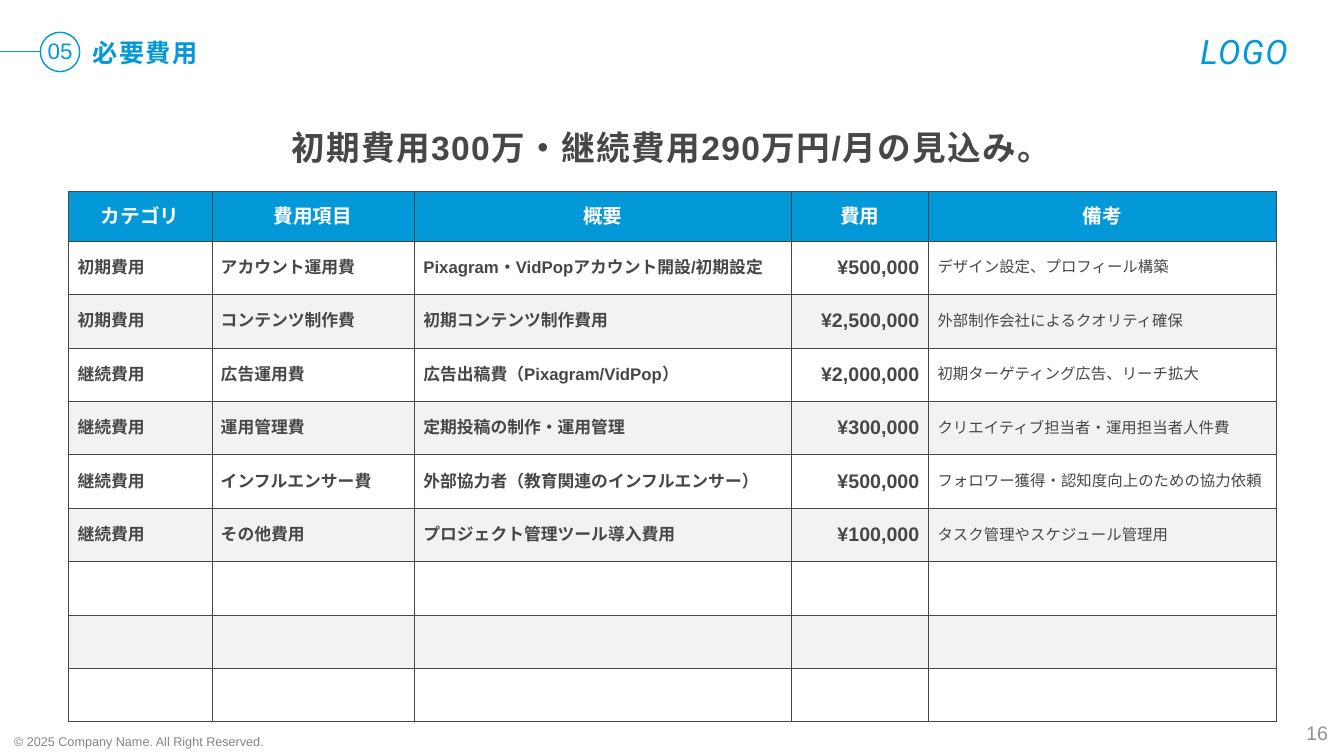
import pptx
import pptx.dml.color
import pptx.enum.shapes
import pptx.enum.text
import pptx.oxml
import pptx.oxml.ns
import pptx.util

Inches = pptx.util.Inches
Pt = pptx.util.Pt
ALIGN = pptx.enum.text.PP_ALIGN
ANCHOR = pptx.enum.text.MSO_ANCHOR

BLUE = "0399D8"
DARK = "464846"
WHITE = "FFFFFF"
PALE = "F2F2F2"
NAMESPACE = pptx.oxml.ns.nsdecls("a")


def color(value):
    return pptx.dml.color.RGBColor.from_string(value)


def write(frame, text, size, ink, bold=False, align=ALIGN.LEFT, font="Arial", spacing=0):
    """Fill a text frame with one formatted paragraph; spacing is between letters, in points."""
    frame.text = text
    para = frame.paragraphs[0]
    para.alignment = align
    for span in para.runs:
        span.font.name = font
        span.font.size = Pt(size)
        span.font.bold = bold
        span.font.color.rgb = color(ink)
        properties = span.font._element
        properties.append(pptx.oxml.parse_xml(f'<a:ea {NAMESPACE} typeface="{font}"/>'))
        if spacing:
            properties.set("spc", str(spacing * 100))
    return para


deck = pptx.Presentation()
deck.slide_width = Inches(13.33)
deck.slide_height = Inches(7.5)
page = deck.slides.add_slide(deck.slide_layouts[5])

# Headline
title = page.shapes.title
title.left, title.top = Inches(2.24), Inches(1.14)
title.width, title.height = Inches(8.83), Inches(0.55)
title.text_frame.word_wrap = False
title.text_frame.auto_size = pptx.enum.text.MSO_AUTO_SIZE.NONE
title.text_frame.vertical_anchor = ANCHOR.TOP
headline = write(title.text_frame, "初期費用300万・継続費用290万円/月の見込み。", 24, DARK,
                 bold=True, align=ALIGN.CENTER, spacing=1)
headline.line_spacing = 1.17

# Section marker
rule = page.shapes.add_connector(pptx.enum.shapes.MSO_CONNECTOR.STRAIGHT,
                                 Inches(0), Inches(0.51), Inches(0.4), Inches(0.51))
rule._element.spPr.append(pptx.oxml.parse_xml(f"<a:effectLst {NAMESPACE}/>"))
circle = page.shapes.add_shape(pptx.enum.shapes.MSO_SHAPE.OVAL,
                               Inches(0.4), Inches(0.32), Inches(0.39), Inches(0.39))
circle.shadow.inherit = False
circle.fill.background()
for outline in (rule.line, circle.line):
    outline.color.rgb = color(BLUE)
    outline.width = Pt(1)

# Labels: left, top, width, height, margin, anchor, text and its format
labels = [
    (0.47, 0.4, 0.25, 0.24, 0, ANCHOR.TOP, "05",
     dict(size=16, ink=BLUE, align=ALIGN.CENTER)),
    (0.92, 0.4, 1.07, 0.27, 0, ANCHOR.TOP, "必要費用",
     dict(size=18, ink=BLUE, bold=True, spacing=1)),
    (11.71, 0.26, 1.26, 0.5, 0.05, ANCHOR.TOP, "LOGO",
     dict(size=24, ink=BLUE, align=ALIGN.CENTER, font="Roboto", spacing=1)),
    (0.14, 7.28, 2.56, 0.15, 0, ANCHOR.MIDDLE, "© 2025 Company Name. All Right Reserved.",
     dict(size=9, ink="858585")),
    (12.65, 7.07, 0.62, 0.4, 0.1, ANCHOR.MIDDLE, "16",
     dict(size=14, ink="8F928F", align=ALIGN.RIGHT)),
]
for left, top, width, height, margin, anchor, text, style in labels:
    box = page.shapes.add_textbox(Inches(left), Inches(top), Inches(width), Inches(height))
    frame = box.text_frame
    frame.word_wrap = False
    frame.vertical_anchor = anchor
    frame.margin_left = frame.margin_right = Inches(margin)
    frame.margin_top = frame.margin_bottom = Inches(min(margin, 0.05))
    para = write(frame, text, **style)
    if text in ("05", "必要費用"):
        para.line_spacing = 0.9
    if text == "LOGO":
        para.runs[0].font.italic = True

# Cost table
headers = ["カテゴリ", "費用項目", "概要", "費用", "備考"]
costs = [
    ["初期費用", "アカウント運用費", "Pixagram・VidPopアカウント開設/初期設定", "¥500,000",
     "デザイン設定、プロフィール構築"],
    ["初期費用", "コンテンツ制作費", "初期コンテンツ制作費用", "¥2,500,000",
     "外部制作会社によるクオリティ確保"],
    ["継続費用", "広告運用費", "広告出稿費（Pixagram/VidPop）", "¥2,000,000",
     "初期ターゲティング広告、リーチ拡大"],
    ["継続費用", "運用管理費", "定期投稿の制作・運用管理", "¥300,000",
     "クリエイティブ担当者・運用担当者人件費"],
    ["継続費用", "インフルエンサー費", "外部協力者（教育関連のインフルエンサー）", "¥500,000",
     "フォロワー獲得・認知度向上のための協力依頼"],
    ["継続費用", "その他費用", "プロジェクト管理ツール導入費用", "¥100,000",
     "タスク管理やスケジュール管理用"],
]
blank_rows = [[""] * len(headers)] * 3
rows = [headers] + costs + blank_rows
column_widths = [1.42, 2.01, 3.74, 1.36, 3.45]
column_styles = [dict(size=12, bold=True)] * 3 + [
    dict(size=14, bold=True, align=ALIGN.RIGHT), dict(size=11)]

table = page.shapes.add_table(len(rows), len(headers), Inches(0.68), Inches(1.9),
                              Inches(11.98), Inches(5.27)).table
for column, width in zip(table.columns, column_widths):
    column.width = Inches(width)

for row_index, row in enumerate(rows):
    table.rows[row_index].height = Inches(0.53 if row_index else 0.49)
    for column_index, text in enumerate(row):
        cell = table.cell(row_index, column_index)
        cell.vertical_anchor = ANCHOR.MIDDLE
        cell.margin_left = cell.margin_right = Inches(0.09)
        if row_index == 0:
            write(cell.text_frame, text, 14, WHITE, bold=True, align=ALIGN.CENTER)
            shade = BLUE
        else:
            write(cell.text_frame, text, ink=DARK, **column_styles[column_index])
            shade = WHITE if row_index % 2 else PALE
        cell_properties = cell._tc.get_or_add_tcPr()
        for side in ("lnL", "lnR", "lnT", "lnB"):
            cell_properties.append(pptx.oxml.parse_xml(
                f'<a:{side} {NAMESPACE} w="{Pt(0.25)}"><a:solidFill>'
                f'<a:srgbClr val="{DARK}"/></a:solidFill></a:{side}>'))
        cell.fill.solid()
        cell.fill.fore_color.rgb = color(shade)

deck.save("out.pptx")
